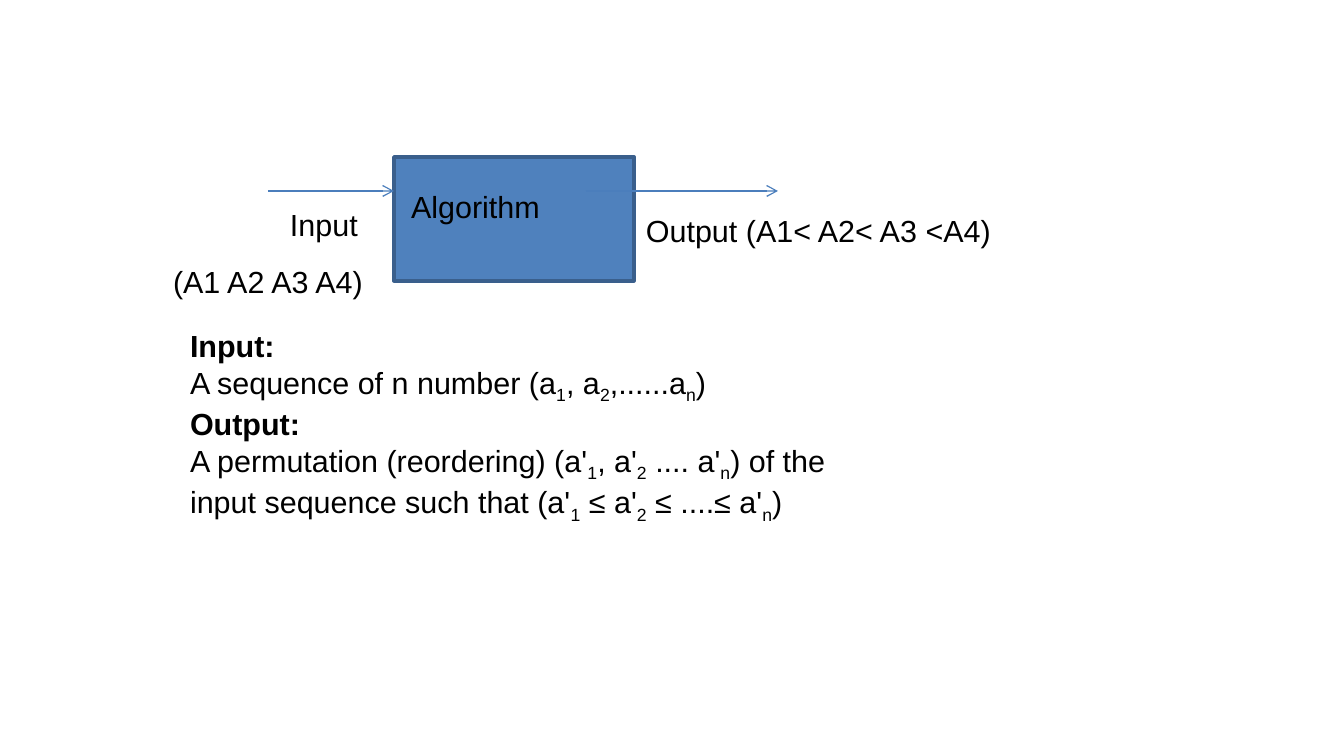
from lxml.etree import SubElement
from pptx import Presentation
from pptx.dml.color import RGBColor
from pptx.enum.shapes import MSO_CONNECTOR as Connector, MSO_SHAPE as Shape
from pptx.enum.text import MSO_AUTO_SIZE as AutoSize
from pptx.oxml.ns import qn
from pptx.util import Emu, Inches, Pt

SCALE = Inches(1) / 122
BLOCK_FILL = RGBColor(0x4F, 0x81, 0xBD)
BLOCK_EDGE = RGBColor(0x3A, 0x5F, 0x8C)
ARROW_BLUE = RGBColor(0x4B, 0x7E, 0xBC)
BLACK = RGBColor(0, 0, 0)
BODY_FONT = {"name": "Arial", "size": Pt(18)}

PROBLEM = [
    ("Input:", True),
    ("A sequence of n number (a|1|, a|2|,......a|n|)", False),
    ("Output:", True),
    ("A permutation (reordering) (a'|1|, a'|2| .... a'|n|) of the "
     "input sequence such that (a'|1| ≤ a'|2| ≤ ....≤ a'|n|)", False),
]


def px(*lengths):
    """Turn pixel lengths into EMU."""
    return [Emu(round(length * SCALE)) for length in lengths]


def add_text(slide, box, lines, wrap=True):
    """Write (text, bold) lines, with subscripts between bars."""
    frame = slide.shapes.add_textbox(*px(*box)).text_frame
    frame.word_wrap = wrap
    frame.auto_size = AutoSize.SHAPE_TO_FIT_TEXT
    for index, (line, bold) in enumerate(lines):
        paragraph = frame.add_paragraph() if index else frame.paragraphs[0]
        for part, wording in enumerate(line.split("|")):
            run = paragraph.add_run()
            run.text = wording
            for key, value in {**BODY_FONT, "bold": bold}.items():
                setattr(run.font, key, value)
            run.font.color.rgb = BLACK
            if part % 2:
                run._r.get_or_add_rPr().set("baseline", "-25000")


def add_arrow(slide, start, end, level):
    """Draw a level arrow pointing right."""
    arrow = slide.shapes.add_connector(
        Connector.STRAIGHT, *px(start, level, end, level))
    arrow.line.color.rgb = ARROW_BLUE
    arrow.line.width = Pt(0.75)
    SubElement(arrow.line._get_or_add_ln(), qn("a:tailEnd"), type="arrow")
    SubElement(arrow._element.spPr, qn("a:effectLst"))


def add_flow(slide, left, top):
    """Place the algorithm block with its arrows and labels."""
    block = slide.shapes.add_shape(
        Shape.RECTANGLE, *px(left + 233, top, 240, 124))
    block.shadow.inherit = False
    block.fill.solid()
    block.fill.fore_color.rgb = BLOCK_FILL
    block.line.color.rgb = BLOCK_EDGE
    block.line.width = Pt(2)
    for start, end in ((425, 617), (107, 233)):
        add_arrow(slide, left + start, left + end, top + 34)
    for label, x, y, width, height, wrap in (
        ("Algorithm", 238, 25, 206, 49, True),
        ("Output (A1< A2< A3 <A4)", 473, 49, 373, 87, False),
        ("Input", 117, 43, 93, 49, False),
        ("(A1 A2 A3 A4)", 0, 100, 216, 49, False),
    ):
        add_text(slide, (left + x, top + y, width, height),
                 [(label, False)], wrap)


def build_slide(deck):
    """Build the sorting problem slide."""
    slide = deck.slides.add_slide(deck.slide_layouts[6])
    add_flow(slide, 161, 157)
    add_text(slide, (178, 321, 672, 198), PROBLEM)


deck = Presentation()
deck.slide_width, deck.slide_height = px(1344, 756)
build_slide(deck)
deck.save("out.pptx")
